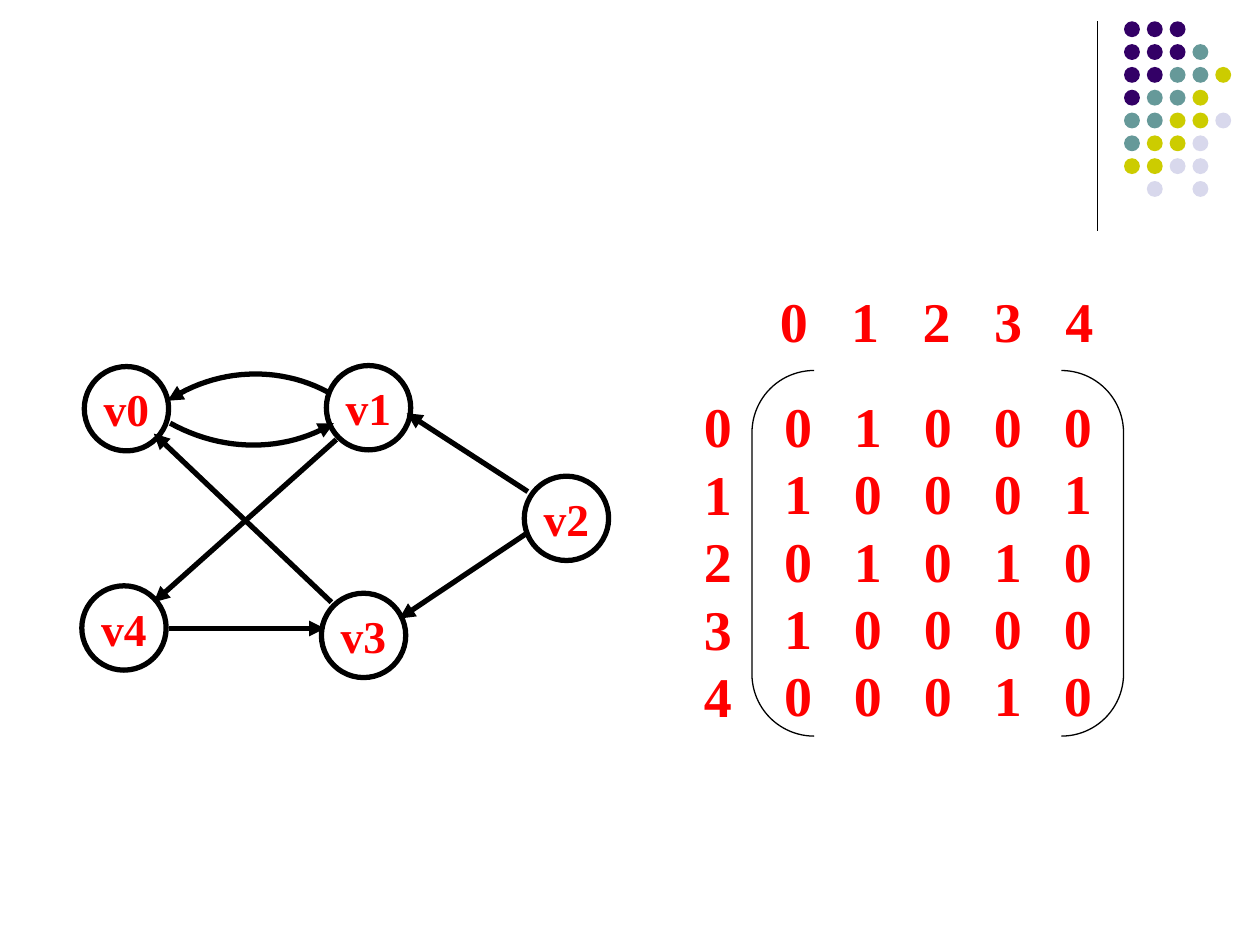
"""Build a slide with a directed graph and its adjacency matrix."""
import lxml.etree
import pptx
import pptx.dml.color
import pptx.enum.shapes
import pptx.enum.text
import pptx.oxml.ns
import pptx.util

Cm = pptx.util.Cm
Pt = pptx.util.Pt
RGBColor = pptx.dml.color.RGBColor
SHAPE = pptx.enum.shapes.MSO_SHAPE
ALIGN = pptx.enum.text.PP_ALIGN
qn = pptx.oxml.ns.qn

FONT = "Times New Roman"
BLACK = RGBColor(0x00, 0x00, 0x00)
RED = RGBColor(0xFF, 0x00, 0x00)
DOT_COLORS = {
    "P": RGBColor(0x33, 0x00, 0x66),
    "T": RGBColor(0x66, 0x99, 0x99),
    "Y": RGBColor(0xCC, 0xCC, 0x00),
    "L": RGBColor(0xD8, 0xD8, 0xEC),
}
DOT_ROWS = ["PPP", "PPPT", "PPTTY", "PTTY", "TTYYL", "TYYL", "YYLL", " L L"]
VERTICES = {
    "v0": (1.7, 7.39),
    "v1": (6.58, 7.37),
    "v2": (10.57, 9.6),
    "v3": (6.48, 11.96),
    "v4": (1.65, 11.81),
}
STRAIGHT_EDGES = [
    ((10.64, 9.91), (8.2, 8.33)),
    ((10.59, 10.77), (8.05, 12.47)),
    ((3.4, 12.67), (6.55, 12.67)),
    ((6.78, 8.86), (3.1, 12.14)),
    ((6.68, 12.14), (3.1, 8.74)),
]
CURVED_EDGES = [
    ((3.43, 8.53), (4.5, 9.12), (5.74, 9.12), (6.73, 8.53)),
    ((6.6, 7.9), (5.61, 7.37), (4.37, 7.42), (3.38, 8.08)),
]
MATRIX = ["01000", "10001", "01010", "10000", "00010"]
INDICES = "01234"
CURVE_STEPS = 24


def style_line(shape, width, arrow=False):
    """Draw a black outline, with an arrowhead at its end if asked."""
    shape.line.color.rgb = BLACK
    shape.line.width = Pt(width)
    if arrow:
        line = shape.line._get_or_add_ln()
        lxml.etree.SubElement(line, qn("a:tailEnd"), type="triangle")


def add_line(slide, start, end, width, arrow=False):
    """Add a straight connector between two points."""
    connector = slide.shapes.add_connector(
        pptx.enum.shapes.MSO_CONNECTOR.STRAIGHT, *map(Cm, start + end))
    style_line(connector, width, arrow)
    lxml.etree.SubElement(connector._element.spPr, qn("a:effectLst"))


def add_curve(slide, control_points):
    """Add an arrow along a cubic Bezier curve."""
    points = []
    for step in range(CURVE_STEPS + 1):
        t = step / CURVE_STEPS
        weights = ((1 - t) ** 3, 3 * t * (1 - t) ** 2, 3 * t * t * (1 - t), t ** 3)
        points.append(tuple(
            Cm(sum(weight * value for weight, value in zip(weights, axis)))
            for axis in zip(*control_points)))
    builder = slide.shapes.build_freeform(*points[0])
    builder.add_line_segments(points[1:], close=False)
    curve = builder.convert_to_shape()
    curve.shadow.inherit = False
    curve.fill.background()
    style_line(curve, 3, arrow=True)


def add_outline(slide, kind, left, top, width, height, line_width):
    """Add an unfilled preset shape with a black outline."""
    shape = slide.shapes.add_shape(kind, Cm(left), Cm(top), Cm(width), Cm(height))
    shape.shadow.inherit = False
    shape.fill.background()
    style_line(shape, line_width)
    return shape


def set_margins(frame, left=0.0, top=0.0):
    """Set the inner margins of a text frame."""
    frame.margin_left, frame.margin_top = Cm(left), Cm(top)
    frame.margin_right = frame.margin_bottom = 0


def add_red_run(paragraph, text, size):
    """Add one bold red run."""
    run = paragraph.add_run()
    run.text = text
    run.font.name = FONT
    run.font.size = Pt(size)
    run.font.bold = True
    run.font.color.rgb = RED


def write_rows(frame, rows, alignment, pitch=0.0):
    """Write rows of digits, set in columns by tab stops."""
    frame.word_wrap = True
    frame.vertical_anchor = pptx.enum.text.MSO_ANCHOR.TOP
    for index, row in enumerate(rows):
        paragraph = frame.add_paragraph() if index else frame.paragraphs[0]
        if len(row) > 1:
            properties = paragraph._p.get_or_add_pPr()
            tabs = lxml.etree.SubElement(properties, qn("a:tabLst"))
            for column in range(1, len(row)):
                lxml.etree.SubElement(
                    tabs, qn("a:tab"), pos=str(Cm(pitch * column)), algn="l")
        paragraph.alignment = alignment
        paragraph.line_spacing = Pt(38.5)
        add_red_run(paragraph, "\t".join(row), 32)


def add_digits(slide, left, top, width, height, rows, alignment, pitch=0.0):
    """Add a text box with rows of digits."""
    box = slide.shapes.add_textbox(Cm(left), Cm(top), Cm(width), Cm(height))
    set_margins(box.text_frame, top=0.05)
    write_rows(box.text_frame, rows, alignment, pitch)


def add_vertex(slide, name, left, top):
    """Add a named circle."""
    circle = add_outline(slide, SHAPE.OVAL, left, top, 1.7, 1.7, 3)
    frame = circle.text_frame
    set_margins(frame)
    frame.word_wrap = False
    frame.vertical_anchor = pptx.enum.text.MSO_ANCHOR.MIDDLE
    frame.paragraphs[0].alignment = ALIGN.CENTER
    add_red_run(frame.paragraphs[0], name, 26)


def add_corner_dots(slide):
    """Add the grouped grid of coloured dots in the corner."""
    group = slide.shapes.add_group_shape()
    for row, letters in enumerate(DOT_ROWS):
        for column, letter in enumerate(letters):
            if letter in DOT_COLORS:
                dot = group.shapes.add_shape(
                    SHAPE.OVAL, Cm(22.66 + 0.46 * column), Cm(0.43 + 0.46 * row),
                    Cm(0.32), Cm(0.32))
                dot.shadow.inherit = False
                dot.fill.solid()
                dot.fill.fore_color.rgb = DOT_COLORS[letter]
                dot.line.fill.background()


def add_matrix(slide):
    """Add the bracketed matrix with its row and column indices."""
    add_digits(slide, 13.77, 7.85, 1.4, 5.84, INDICES, ALIGN.CENTER)
    bracket = add_outline(slide, SHAPE.DOUBLE_BRACKET, 15.16, 7.47, 7.49, 7.37, 0.75)
    bracket.adjustments[0] = 0.17
    set_margins(bracket.text_frame, left=0.28, top=0.05)
    write_rows(bracket.text_frame, MATRIX, ALIGN.LEFT, 1.41)
    add_digits(slide, 15.72, 5.72, 6.63, 1.75, [INDICES], ALIGN.LEFT, 1.44)


def main():
    """Build and save the presentation."""
    presentation = pptx.Presentation()
    presentation.slide_width, presentation.slide_height = Cm(25.4), Cm(19.05)
    slide = presentation.slides.add_slide(presentation.slide_layouts[6])
    add_line(slide, (22.12, 0.43), (22.12, 4.65), 0.75)
    add_corner_dots(slide)
    for start, end in STRAIGHT_EDGES:
        add_line(slide, start, end, 3, arrow=True)
    for control_points in CURVED_EDGES:
        add_curve(slide, control_points)
    for name, (left, top) in VERTICES.items():
        add_vertex(slide, name, left, top)
    add_matrix(slide)
    presentation.save("out.pptx")


if __name__ == "__main__":
    main()
